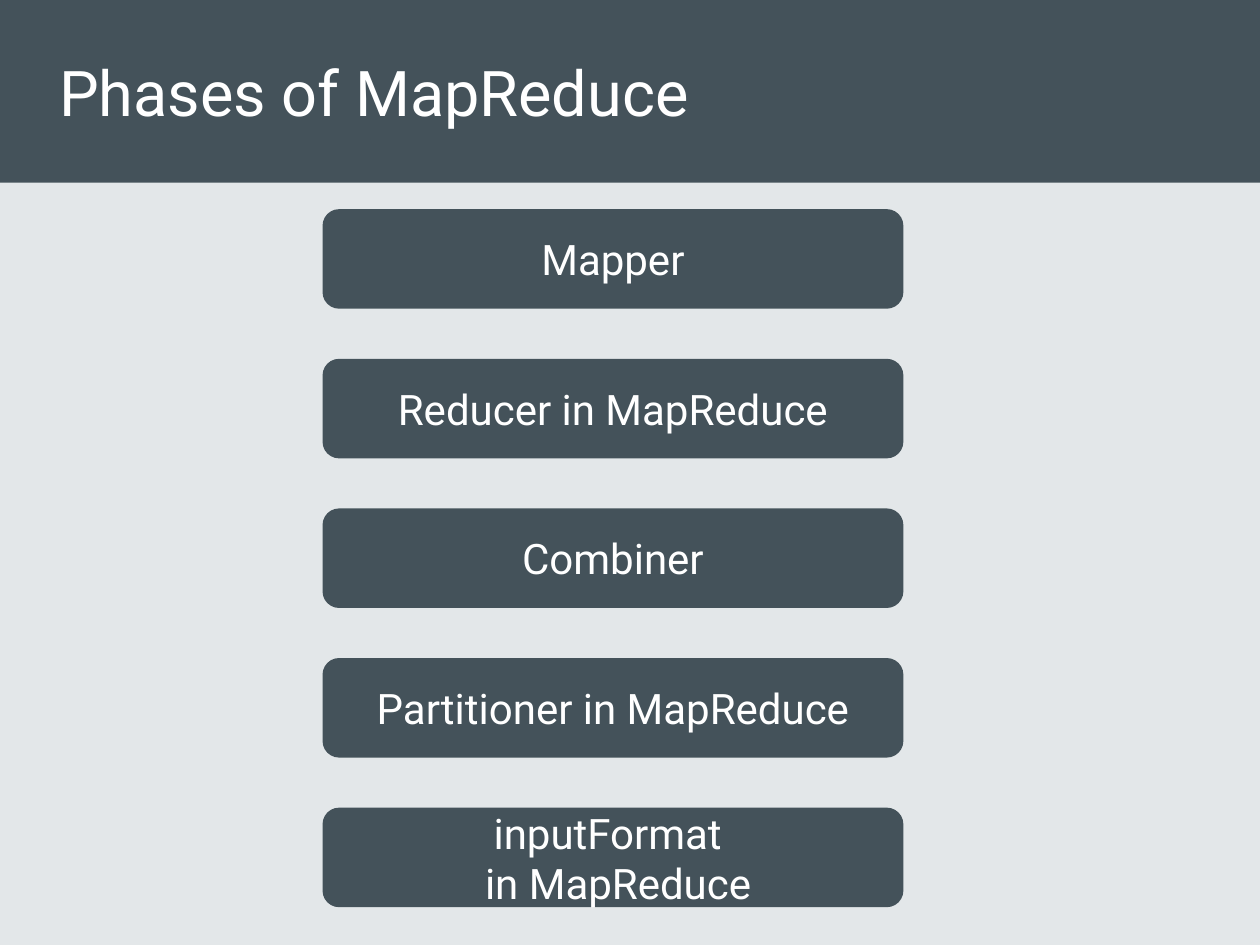
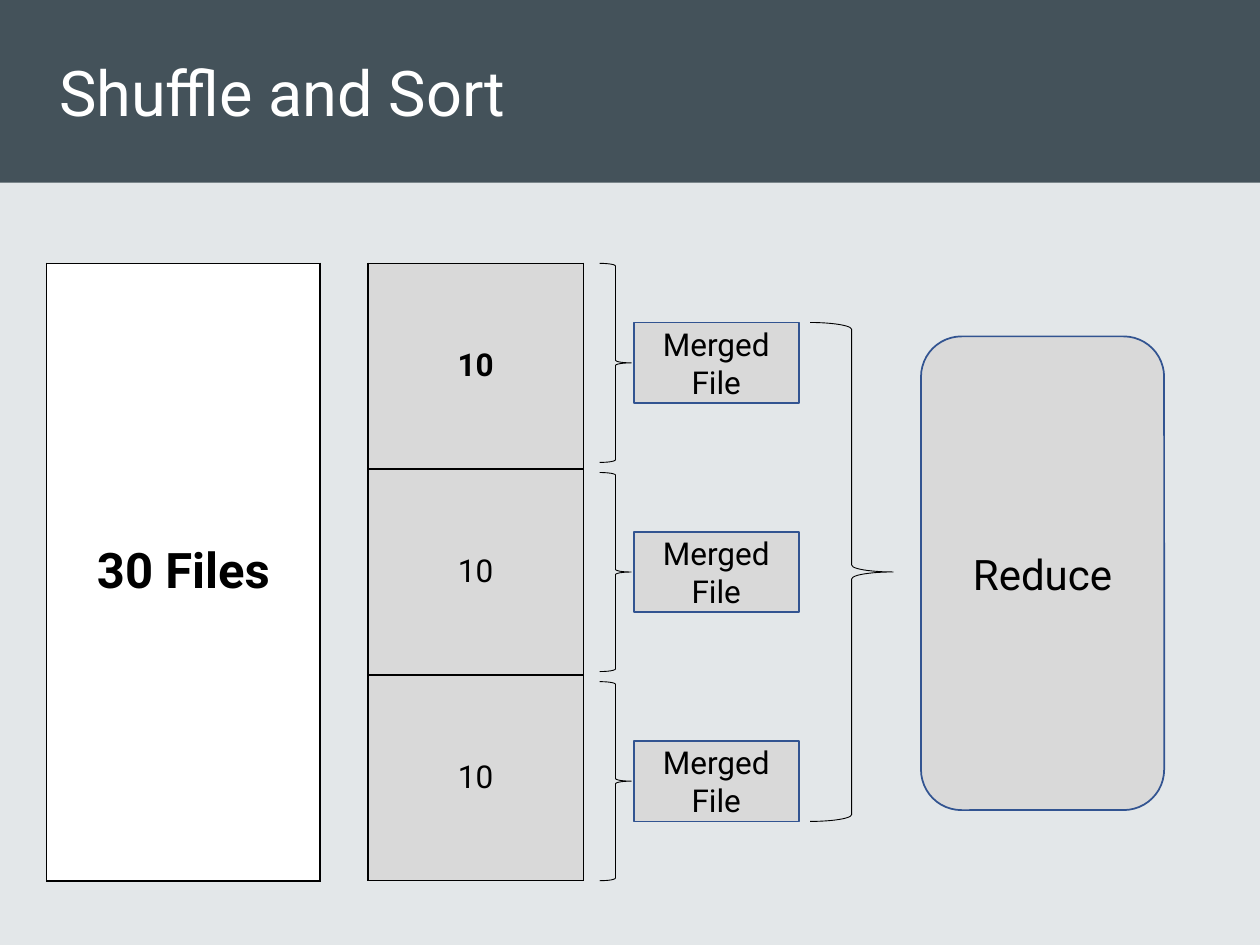
from lxml.etree import SubElement
from pptx import Presentation
from pptx.dml.color import RGBColor
from pptx.enum.shapes import MSO_SHAPE
from pptx.enum.text import MSO_ANCHOR, MSO_AUTO_SIZE, PP_ALIGN
from pptx.oxml.ns import qn
from pptx.util import Inches, Pt

SLATE = RGBColor(0x44, 0x52, 0x5A)
MIST = RGBColor(0xE3, 0xE7, 0xE9)
GREY = RGBColor(0xD9, 0xD9, 0xD9)
BLUE = RGBColor(0x32, 0x54, 0x91)
WHITE = RGBColor(0xFF, 0xFF, 0xFF)
BLACK = RGBColor(0x00, 0x00, 0x00)
FONT = "Roboto"

WIDTH, HEIGHT = 10, 7.5
BAND_HEIGHT = 1.45
MARGIN = 0.37

PHASES = [
    "Mapper",
    "Reducer in MapReduce",
    "Combiner",
    "Partitioner in MapReduce",
    "inputFormat \v in MapReduce",
]
PHASE_TOP, PHASE_PITCH = 1.66, 1.1875
PHASE_LEFT, PHASE_WIDTH, PHASE_HEIGHT = 2.56, 4.61, 0.79

ALL_FILES = [("30 Files", True)]
FILE_GROUPS = [("10", True), ("10", False), ("10", False)]
MERGED = "Merged File"
FLOW_TOP, FLOW_HEIGHT = 2.09, 4.9
BRACE_HEIGHT, BRACE_PITCH = 1.58, 1.66
MERGED_HEIGHT = 0.64


def inches(*lengths):
    return [Inches(length) for length in lengths]


def write(frame, text, size, color, bold=False, alignment=PP_ALIGN.CENTER):
    frame.text = text
    for paragraph in frame.paragraphs:
        paragraph.alignment = alignment
        font = paragraph.font
        font.name, font.size, font.bold = FONT, Pt(size), bold
        font.color.rgb = color


def add_box(slide, kind, box, fill=None, line=None, line_width=1):
    shape = slide.shapes.add_shape(kind, *inches(*box))
    shape.shadow.inherit = False
    if fill is None:
        shape.fill.background()
    else:
        shape.fill.solid()
        shape.fill.fore_color.rgb = fill
    if line is None:
        shape.line.fill.background()
    else:
        shape.line.color.rgb = line
        shape.line.width = Pt(line_width)
    return shape


def add_label(slide, kind, box, text, size, color, fill, line=None):
    frame = add_box(slide, kind, box, fill, line).text_frame
    frame.word_wrap = True
    frame.vertical_anchor = MSO_ANCHOR.MIDDLE
    write(frame, text, size, color)


def add_brace(slide, box):
    add_box(slide, MSO_SHAPE.RIGHT_BRACE, box, line=BLACK, line_width=0.5)


def add_borders(cell):
    properties = cell._tc.get_or_add_tcPr()
    for position, side in enumerate(("lnL", "lnR", "lnT", "lnB")):
        border = properties.makeelement(qn(f"a:{side}"), {"w": str(Pt(1))})
        properties.insert(position, border)
        fill = SubElement(border, qn("a:solidFill"))
        SubElement(fill, qn("a:srgbClr"), val=str(BLACK))


def add_file_column(slide, left, width, entries, size, fill):
    frame = slide.shapes.add_table(
        len(entries), 1, *inches(left, FLOW_TOP, width, FLOW_HEIGHT))
    table = frame.table
    for row, (text, bold) in enumerate(entries):
        table.rows[row].height = Inches(FLOW_HEIGHT / len(entries))
        cell = table.cell(row, 0)
        cell.fill.solid()
        cell.fill.fore_color.rgb = fill
        cell.vertical_anchor = MSO_ANCHOR.MIDDLE
        write(cell.text_frame, text, size, BLACK, bold)
        add_borders(cell)


def add_titled_slide(presentation, text):
    slide = presentation.slides.add_slide(presentation.slide_layouts[5])
    title = slide.shapes.title
    band = add_box(slide, MSO_SHAPE.RECTANGLE, (0, 0, WIDTH, BAND_HEIGHT), SLATE)
    title.element.addprevious(band.element)
    title.left, title.top, title.width, title.height = inches(
        MARGIN, 0, 9.17, BAND_HEIGHT)
    title.text_frame.auto_size = MSO_AUTO_SIZE.NONE
    title.text_frame.vertical_anchor = MSO_ANCHOR.MIDDLE
    write(title.text_frame, text, 36, WHITE, alignment=PP_ALIGN.LEFT)
    return slide


def build_phases(presentation):
    slide = add_titled_slide(presentation, "Phases of MapReduce")
    for index, phase in enumerate(PHASES):
        top = PHASE_TOP + index * PHASE_PITCH
        box = (PHASE_LEFT, top, PHASE_WIDTH, PHASE_HEIGHT)
        add_label(slide, MSO_SHAPE.FLOWCHART_ALTERNATE_PROCESS, box, phase,
                  24, WHITE, SLATE)


def build_shuffle(presentation):
    slide = add_titled_slide(presentation, "Shuffle and Sort")
    add_file_column(slide, MARGIN, 2.17, ALL_FILES, 28, WHITE)
    add_file_column(slide, 2.92, 1.71, FILE_GROUPS, 18, GREY)
    inset = (BRACE_HEIGHT - MERGED_HEIGHT) / 2
    for index in range(len(FILE_GROUPS)):
        top = FLOW_TOP + index * BRACE_PITCH
        add_brace(slide, (4.76, top, 0.25, BRACE_HEIGHT))
        add_label(slide, MSO_SHAPE.RECTANGLE,
                  (5.03, top + inset, 1.31, MERGED_HEIGHT), MERGED,
                  18, BLACK, GREY, BLUE)
    add_brace(slide, (6.43, FLOW_TOP + inset, 0.66, FLOW_HEIGHT - 2 * inset))
    add_label(slide, MSO_SHAPE.ROUNDED_RECTANGLE, (7.31, 2.67, 1.93, 3.76),
              "Reduce", 24, BLACK, GREY, BLUE)


def main():
    presentation = Presentation()
    presentation.slide_width, presentation.slide_height = inches(WIDTH, HEIGHT)
    background = presentation.slide_master.background.fill
    background.solid()
    background.fore_color.rgb = MIST
    build_phases(presentation)
    build_shuffle(presentation)
    presentation.save("out.pptx")


if __name__ == "__main__":
    main()
